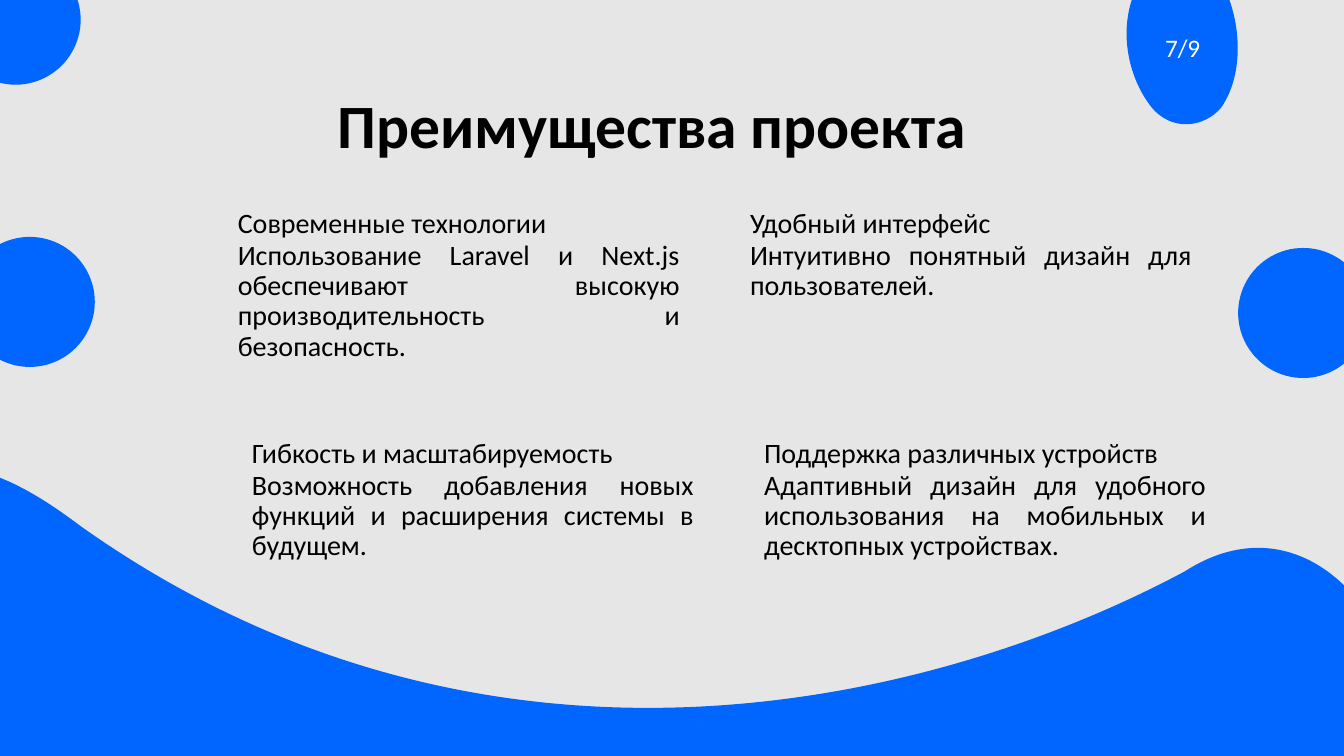
from lxml.etree import SubElement
from pptx import Presentation
from pptx.dml.color import RGBColor
from pptx.enum.shapes import MSO_SHAPE as Shape
from pptx.enum.text import MSO_ANCHOR as Anchor, PP_ALIGN as Align
from pptx.oxml.ns import qn
from pptx.util import Inches, Pt

BLUE = RGBColor(0x00, 0x66, 0xFF)
GRAY = RGBColor(0xE7, 0xE6, 0xE6)
BLACK = RGBColor(0x00, 0x00, 0x00)
WHITE = RGBColor(0xFF, 0xFF, 0xFF)
FONT = "Calibri"

CARDS = [
    ("Современные технологии",
     "Использование Laravel и Next.js обеспечивают высокую "
     "производительность и безопасность."),
    ("Удобный интерфейс",
     "Интуитивно понятный дизайн для пользователей."),
    ("Гибкость и масштабируемость",
     "Возможность добавления новых функций и расширения системы в будущем."),
    ("Поддержка различных устройств",
     "Адаптивный дизайн для удобного использования на мобильных "
     "и десктопных устройствах."),
]
# Box, start point, then curves of two control points and an end point.
WAVE = (-0.92, 4.66, 14.77, 4.3), (0.8, 5.22), [
    ((4.87, 8.11), (9.34, 6.96), (11.75, 5.67)),
    ((13.35, 4.64), (14.59, 7.3), (13.36, 7.93)),
    ((11.54, 8.54), (0.76, 9.44), (0, 8.65)),
    ((-0.69, 7.61), (-2, 3.1), (0.8, 5.22)),
]
DROP = (11.18, -0.29, 1.1, 1.52), (11.29, -0.15), [
    ((11.44, -0.34), (11.97, -0.34), (12.15, -0.11)),
    ((12.32, 0.26), (12.33, 0.76), (12.11, 1.07)),
    ((11.95, 1.26), (11.62, 1.32), (11.41, 1.05)),
    ((11.16, 0.72), (11.09, 0.22), (11.29, -0.15)),
]
DOTS = [(-0.49, -0.45), (12.28, 2.46), (-0.35, 2.35)]
DOT_SIZE = 1.29


def style(para, size, color, align):
    para.alignment = align
    para.font.name = FONT
    para.font.size = Pt(size)
    para.font.color.rgb = color


def paint(shape):
    shape.shadow.inherit = False
    shape.fill.solid()
    shape.fill.fore_color.rgb = BLUE
    shape.line.fill.background()


def add_text(slide, box, lines, size, align):
    frame = slide.shapes.add_textbox(*map(Inches, box)).text_frame
    frame.word_wrap = True
    frame.text = "\n".join(lines)
    for para in frame.paragraphs:
        style(para, size, BLACK, align)
        para.line_spacing = 0.9
    return frame


def add_title(slide, text):
    frame = add_text(slide, (2.75, 0.85, 7.44, 0.85), [text], 44, Align.CENTER)
    frame.vertical_anchor = Anchor.MIDDLE
    frame.paragraphs[0].font.bold = True


def add_card(slide, index, lines):
    row, col = divmod(index, 2)
    box = 2.26 + 5.08 * col + 0.14 * row, 2.03 + 2.28 * row, 4.58, 1.96
    for para in add_text(slide, box, lines, 20, Align.JUSTIFY).paragraphs:
        para.space_before = Pt(1)


def add_blob(slide, box, start, curves):
    """Add a freeform that fills the box, then give it a curved outline."""
    left, top, width, height = box
    right, bottom = left + width, top + height
    pen = slide.shapes.build_freeform(Inches(left), Inches(top))
    corners = (right, top), (right, bottom), (left, bottom)
    pen.add_line_segments([tuple(map(Inches, spot)) for spot in corners])
    blob = pen.convert_to_shape()
    outline = next(blob.element.iter(qn("a:path")))
    for step in list(outline):
        outline.remove(step)
    for tag, spots in [("a:moveTo", [start]),
                       *(("a:cubicBezTo", curve) for curve in curves)]:
        step = SubElement(outline, qn(tag))
        for x, y in spots:
            SubElement(step, qn("a:pt"), x=str(int(Inches(x - left))),
                       y=str(int(Inches(y - top))))
    SubElement(outline, qn("a:close"))
    paint(blob)
    return blob


def add_page(slide, text):
    frame = add_blob(slide, *DROP).text_frame
    frame.vertical_anchor = Anchor.MIDDLE
    frame.text = text
    style(frame.paragraphs[0], 18, WHITE, Align.CENTER)


def add_dot(slide, left, top):
    box = left, top, DOT_SIZE, DOT_SIZE
    paint(slide.shapes.add_shape(Shape.OVAL, *map(Inches, box)))


def main():
    deck = Presentation()
    deck.slide_width, deck.slide_height = Inches(13.33), Inches(7.5)
    slide = deck.slides.add_slide(deck.slide_layouts[6])
    slide.background.fill.solid()
    slide.background.fill.fore_color.rgb = GRAY

    add_title(slide, "Преимущества проекта")
    for index, lines in enumerate(CARDS):
        add_card(slide, index, lines)
    add_blob(slide, *WAVE)
    add_page(slide, "7/9")
    for left, top in DOTS:
        add_dot(slide, left, top)
    deck.save("out.pptx")


if __name__ == "__main__":
    main()
